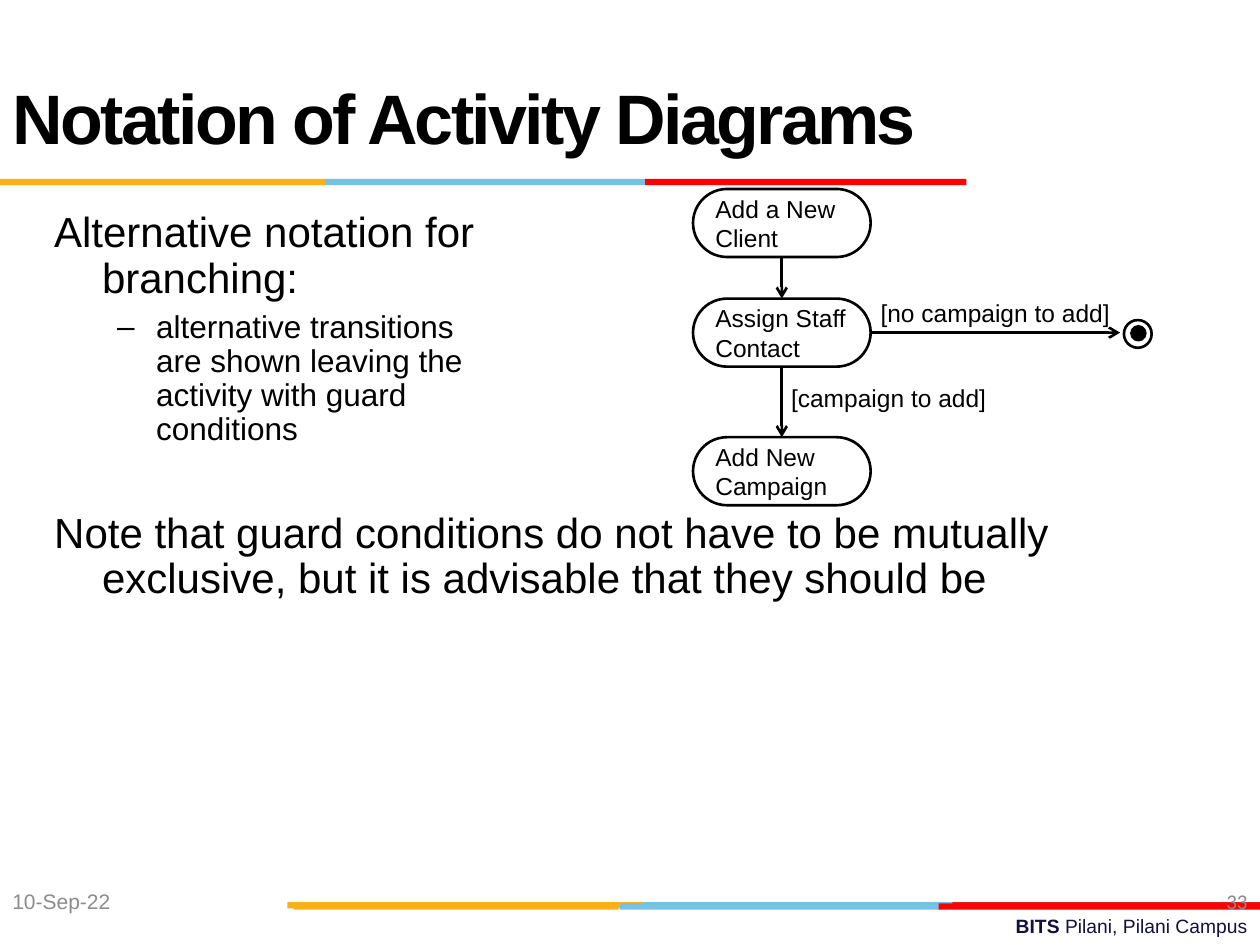
from pptx import Presentation
from pptx.dml.color import RGBColor
from pptx.enum.shapes import MSO_CONNECTOR, MSO_SHAPE
from pptx.enum.text import MSO_ANCHOR, MSO_AUTO_SIZE, PP_ALIGN
from pptx.oxml.ns import qn
from pptx.util import Inches, Pt
from lxml.etree import SubElement

GOLD, SKY, RED = "FCB017", "76C2E5", "FF0000"
BLACK, WHITE, NAVY = "000000", "FFFFFF", "101141"


def rgb(value):
    """Turn a hex string into a colour."""
    return RGBColor.from_string(value)


def place(sp, x, y, w, h):
    """Move and size a shape, in inches."""
    sp.left, sp.top, sp.width, sp.height = map(Inches, (x, y, w, h))


def add_run(p, text, size, color=BLACK, bold=False, name="Arial"):
    """Add one formatted run."""
    r = p.add_run()
    r.text = text
    f = r.font
    f.size, f.bold, f.name = Pt(size), bold, name
    f.color.rgb = rgb(color)
    return r


def add_lines(p, lines, size):
    """Add runs separated by line breaks."""
    for i, line in enumerate(lines):
        if i:
            p.add_line_break()
        add_run(p, line, size)


def add_text(s, box, runs, size, align=PP_ALIGN.LEFT, anchor=MSO_ANCHOR.TOP):
    """Add a one-paragraph text box from (text, colour, bold, font) runs."""
    tf = s.shapes.add_textbox(*map(Inches, box)).text_frame
    tf.word_wrap, tf.vertical_anchor = True, anchor
    p = tf.paragraphs[0]
    p.alignment = align
    for text, *style in runs:
        add_run(p, text, size, *style)


def add_shape(s, kind, box, fill, line=None):
    """Add a flat preset shape."""
    sp = s.shapes.add_shape(kind, *map(Inches, box))
    sp.shadow.inherit = False
    sp.fill.solid()
    sp.fill.fore_color.rgb = rgb(fill)
    if line:
        sp.line.color.rgb = rgb(line)
        sp.line.width = Pt(1.5)
    else:
        sp.line.fill.background()
    return sp


def add_stripe(s, y, bars):
    """Add a row of thin (left, width, colour) bars."""
    for x, w, color in bars:
        add_shape(s, MSO_SHAPE.RECTANGLE, (x, y, w, 0.05), color)


def add_activity(s, y, lines):
    """Add a rounded activity box."""
    sp = add_shape(s, MSO_SHAPE.ROUNDED_RECTANGLE, (5.5, y, 1.41, 0.54), WHITE, BLACK)
    sp.adjustments[0] = 0.5
    tf = sp.text_frame
    tf.word_wrap, tf.vertical_anchor = False, MSO_ANCHOR.MIDDLE
    p = tf.paragraphs[0]
    p.alignment = PP_ALIGN.LEFT
    add_lines(p, lines, 14)
    return sp


def add_arrow(s, source, site, target=None, end=(0, 0)):
    """Add an arrow from a box side to the top of a box or to a point."""
    c = s.shapes.add_connector(MSO_CONNECTOR.STRAIGHT, 0, 0, *map(Inches, end))
    c.begin_connect(source, site)
    if target is not None:
        c.end_connect(target, 0)
    c.line.color.rgb = rgb(BLACK)
    c.line.width = Pt(1.5)
    SubElement(c.line._get_or_add_ln(), qn("a:tailEnd"), type="arrow")
    SubElement(c._element.spPr, qn("a:effectLst"))


def fill_title(sp, text):
    """Place and fill the title."""
    place(sp, 0, 0.3, 9, 1.25)
    tf = sp.text_frame
    tf.auto_size, tf.vertical_anchor = MSO_AUTO_SIZE.NONE, MSO_ANCHOR.MIDDLE
    p = tf.paragraphs[0]
    p.alignment = PP_ALIGN.LEFT
    r = add_run(p, text, 40, bold=True)
    r.font._element.set("spc", "-150")


def fill_body(sp, items):
    """Fill the body with (lines, level, space before) items."""
    place(sp, 0.33, 1.63, 9, 4.95)
    tf = sp.text_frame
    tf.auto_size = MSO_AUTO_SIZE.NONE
    for i, (lines, level, before) in enumerate(items):
        p = tf.add_paragraph() if i else tf.paragraphs[0]
        p.level = level
        pPr = p._p.get_or_add_pPr()
        margin, indent = ((0.38, -0.38), (0.81, -0.31))[level]
        pPr.set("marL", str(Inches(margin)))
        pPr.set("indent", str(Inches(indent)))
        if level:
            SubElement(pPr, qn("a:buChar"), char="–")
        else:
            SubElement(pPr, qn("a:buNone"))
        p.line_spacing, p.space_before = 0.9, Pt(before)
        add_lines(p, lines, (24, 18)[level])


def add_diagram(s):
    """Add the branching activity diagram."""
    add_text(s, (6.18, 2.99, 2.07, 0.33), [("[campaign to add]",)], 14)
    add_text(s, (6.89, 2.32, 2.3, 0.33), [("[no campaign to add]",)], 14)
    client = add_activity(s, 1.5, ["Add a New", "Client"])
    staff = add_activity(s, 2.37, ["Assign Staff", "Contact"])
    campaign = add_activity(s, 3.47, ["Add New", "Campaign"])
    add_arrow(s, client, 2, staff)
    add_arrow(s, staff, 2, campaign)
    add_arrow(s, staff, 3, end=(8.89, 2.64))
    for x, y, d, fill in ((8.92, 2.54, 0.22, WHITE), (8.98, 2.59, 0.11, BLACK)):
        add_shape(s, MSO_SHAPE.OVAL, (x, y, d, d), fill, BLACK)


def main():
    """Build the slide."""
    prs = Presentation()
    prs.slide_width, prs.slide_height = Inches(10), Inches(7.5)
    s = prs.slides.add_slide(prs.slide_layouts[1])
    add_text(s, (3.58, 7.21, 6.42, 0.29),
             [("BITS ", NAVY, True), ("Pilani, Pilani Campus", NAVY)],
             11, PP_ALIGN.RIGHT)
    add_stripe(s, 7.16, [(5.06, 2.55, SKY), (7.56, 2.44, "E31C24"), (2.28, 2.82, GOLD)])
    add_stripe(s, 7.17, [(4.92, 2.55, SKY), (2.33, 2.58, GOLD), (7.45, 2.55, RED)])
    add_stripe(s, 1.42, [(2.58, 2.55, SKY), (0, 2.58, GOLD), (5.12, 2.55, RED)])
    fill_title(s.shapes.title, "Notation of Activity Diagrams")
    fill_body(s.placeholders[1], [
        (["Alternative notation for", "branching:"], 0, 0),
        (["alternative transitions", "are shown leaving the",
          "activity with guard", "conditions"], 1, 5),
        (["Note that guard conditions do not have to be mutually exclusive, "
          "but it is advisable that they should be"], 0, 37),
    ])
    add_text(s, (7.67, 6.95, 2.33, 0.4), [("33", "898989", False, "Calibri")],
             12, PP_ALIGN.RIGHT, MSO_ANCHOR.MIDDLE)
    add_text(s, (0, 6.95, 2.33, 0.4), [("10-Sep-22", "8C8C8C")],
             12, anchor=MSO_ANCHOR.MIDDLE)
    add_diagram(s)
    prs.save("out.pptx")


if __name__ == "__main__":
    main()
